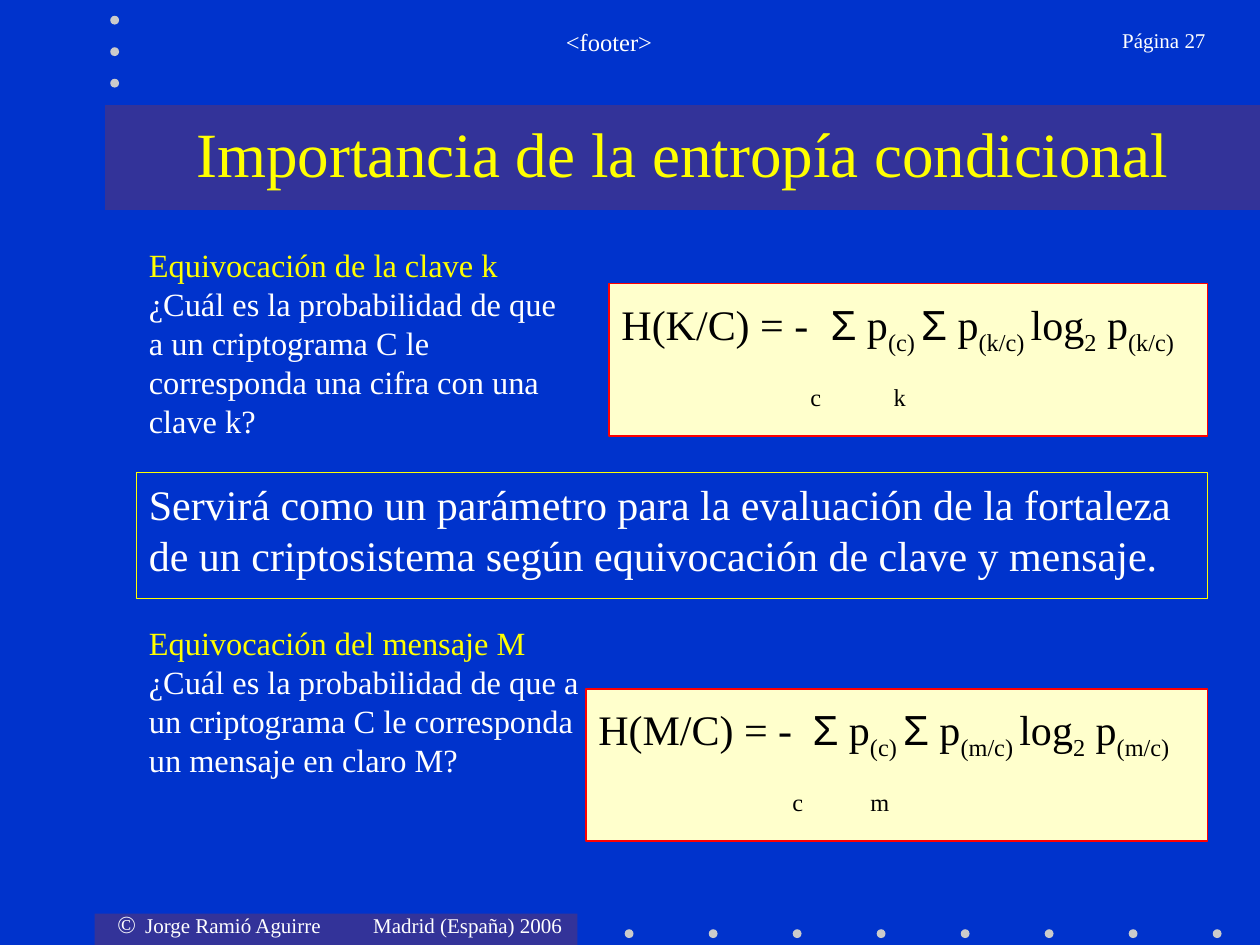
from dataclasses import dataclass
from lxml.etree import SubElement
from pptx import Presentation
from pptx.dml.color import RGBColor
from pptx.enum.shapes import MSO_SHAPE
from pptx.enum.text import MSO_ANCHOR, PP_ALIGN
from pptx.oxml.ns import qn
from pptx.util import Inches, Pt


@dataclass(frozen=True)
class Theme:
    back: str = "0033CC"
    band: str = "333399"
    dot: str = "CBCBCB"
    head: str = "FFFF00"
    text: str = "FFFFFF"
    ink: str = "000000"
    card: str = "FFFFCC"
    edge: str = "FF0000"
    serif: str = "Times New Roman"
    sans: str = "Arial"
    title: float = 36
    main: float = 24
    body: float = 18.5
    foot: float = 14
    small: float = 12


T = Theme()
COLS, ROWS = 120, 90
WIDE, HIGH = Inches(10), Inches(7.5)
SUB, UP = -25, 50

BANDS = [(9, 87, 46, 3), (10, 10, 110, 10)]
DOTS = [(59.5 + 8 * n, 88.5) for n in range(8)] + [(10.5, 1.5 + 3 * n) for n in range(3)]
DOT = 0.84


def white(text, size):
    return (text, size, T.text, T.serif, 0)


def ask(head, text):
    return [(head + " ", T.body, T.head, T.serif, 0), white(text, T.body)]


def sums(var):
    parts = [
        (f"H({var.upper()}/C) = -\t", 0), ("Σ", 0), (" p", 0), ("(c) ", SUB),
        ("Σ", 0), (" p", 0), (f"({var}/c) ", SUB), ("log", 0), ("2", SUB),
        (" p", 0), (f"({var}/c)", SUB),
    ]
    return [(t, T.main, T.ink, T.sans if t == "Σ" else T.serif, b) for t, b in parts]


def below(var):
    return [(f"\tc\t{var}", T.main, T.ink, T.serif, UP)]


TEXTS = [
    dict(at=(10, 86, 45, 4), gap=7.5, tabs=[[0.22, 2.03]],
         paras=[[white("©", T.foot),
                 white("\tJorge Ramió Aguirre\tMadrid (España) 2006", T.small)]]),
    dict(at=(19, 2, 78, 6), gap=8.8, align=PP_ALIGN.CENTER,
         paras=[[white("<footer>", T.foot)]]),
    dict(at=(99.6, 2, 16.4, 6), gap=7.5, align=PP_ALIGN.RIGHT,
         paras=[[white("Página 27", T.small)]]),
    dict(at=(13, 45, 102, 12), gap=6, line=(T.head, 0.75),
         paras=[[white("Servirá como un parámetro para la evaluación de la fortaleza "
                       "de un criptosistema según equivocación de clave y mensaje.", T.main)]]),
    dict(at=(12, 10, 106, 9), gap=0, align=PP_ALIGN.CENTER, anchor=MSO_ANCHOR.MIDDLE,
         paras=[[("Importancia de la entropía condicional", T.title, T.head, T.serif, 0)]]),
    dict(at=(13, 58.8, 43.7, 21.2), gap=5,
         paras=[ask("Equivocación del mensaje M",
                    "¿Cuál es la probabilidad de que a un criptograma C le "
                    "corresponda un mensaje en claro M?")]),
    dict(at=(13, 22.8, 42.2, 21.2), gap=5,
         paras=[ask("Equivocación de la clave k",
                    "¿Cuál es la probabilidad de que a un criptograma C le "
                    "corresponda una cifra con una clave k?")]),
    dict(at=(58, 27, 57, 14.5), gap=15, fill=T.card, line=(T.edge, 1), pad=(0.12, 0),
         tabs=[[1.66], [1.5, 2.16]], paras=[sums("k"), below("k")]),
    dict(at=(55.8, 65.6, 59.2, 14.5), gap=15, fill=T.card, line=(T.edge, 1), pad=(0.12, 0),
         tabs=[[1.7], [1.54, 2.16]], paras=[sums("m"), below("m")]),
]


def put(item, vals):
    for key, val in vals.items():
        setattr(item, key, val)


def place(at):
    x, y, w, h = at
    return [int(v) for v in (x * WIDE / COLS, y * HIGH / ROWS, w * WIDE / COLS, h * HIGH / ROWS)]


def paint(shape, fill=None, line=None):
    if fill:
        shape.fill.solid()
        shape.fill.fore_color.rgb = RGBColor.from_string(fill)
    else:
        shape.fill.background()
    if line:
        shape.line.color.rgb = RGBColor.from_string(line[0])
        shape.line.width = Pt(line[1])
    else:
        shape.line.fill.background()


def draw(slide, kind, at, fill=None, line=None):
    shape = slide.shapes.add_shape(kind, *place(at))
    shape.shadow.inherit = False
    paint(shape, fill, line)
    return shape


def stops(para, tabs):
    group = SubElement(para._p.get_or_add_pPr(), qn("a:tabLst"))
    for pos in tabs:
        SubElement(group, qn("a:tab"), pos=str(Inches(pos)), algn="l")


def write(slide, at, paras, gap, align=PP_ALIGN.LEFT, anchor=MSO_ANCHOR.TOP,
          fill=None, line=None, pad=(0.05, 0.05), tabs=()):
    if line:
        shape = draw(slide, MSO_SHAPE.RECTANGLE, at, fill, line)
    else:
        shape = slide.shapes.add_textbox(*place(at))
    frame = shape.text_frame
    put(frame, dict(word_wrap=True, vertical_anchor=anchor,
                    margin_left=Inches(0.1), margin_right=Inches(0.1),
                    margin_top=Inches(pad[0]), margin_bottom=Inches(pad[1])))
    for n, runs in enumerate(paras):
        para = frame.add_paragraph() if n else frame.paragraphs[0]
        put(para, dict(alignment=align, space_before=Pt(gap)))
        if tabs:
            stops(para, tabs[n])
        for text, size, color, face, base in runs:
            run = para.add_run()
            run.text = text
            put(run.font, dict(size=Pt(size), name=face))
            run.font.color.rgb = RGBColor.from_string(color)
            if base:
                run._r.get_or_add_rPr().set("baseline", str(base * 1000))


def main():
    deck = Presentation()
    put(deck, dict(slide_width=WIDE, slide_height=HIGH))
    slide = deck.slides.add_slide(deck.slide_layouts[6])
    slide.background.fill.solid()
    slide.background.fill.fore_color.rgb = RGBColor.from_string(T.back)
    for at in BANDS:
        draw(slide, MSO_SHAPE.RECTANGLE, at, T.band)
    for x, y in DOTS:
        draw(slide, MSO_SHAPE.OVAL, (x, y, DOT, DOT), T.dot)
    for item in TEXTS:
        write(slide, **item)
    deck.save("out.pptx")


if __name__ == "__main__":
    main()
